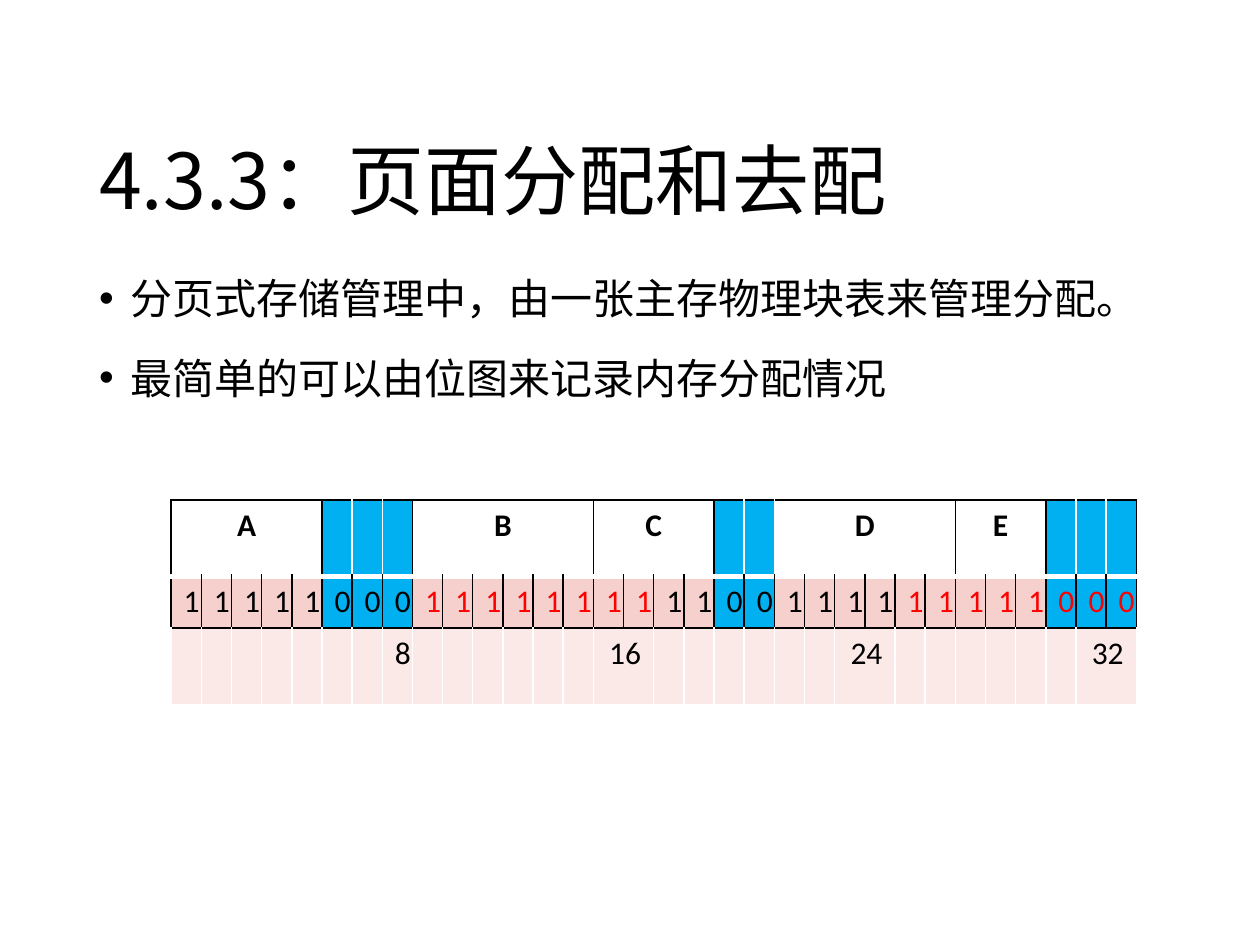
from lxml.etree import SubElement
from pptx import Presentation
from pptx.dml.color import RGBColor
from pptx.enum.text import MSO_ANCHOR as Anchor, PP_ALIGN as Align
from pptx.oxml.ns import qn
from pptx.util import Cm, Pt

BLACK = RGBColor(0x00, 0x00, 0x00)
WHITE = RGBColor(0xFF, 0xFF, 0xFF)
RED = RGBColor(0xFF, 0x00, 0x00)
BLUE = RGBColor(0x00, 0xB0, 0xF0)
PINK = RGBColor(0xF6, 0xD0, 0xCD)
PALE = RGBColor(0xFB, 0xE9, 0xE8)
CJK, LATIN = "Noto Sans CJK SC", "Calibri"

TITLE = "4.3.3：页面分配和去配"
POINTS = [
    "分页式存储管理中，由一张主存物理块表来管理分配。",
    "最简单的可以由位图来记录内存分配情况",
]
# Runs of memory blocks: owner ("" means free) and length
SEGMENTS = [("A", 5), ("", 3), ("B", 6), ("C", 4), ("", 2), ("D", 6), ("E", 3), ("", 3)]
OWNERS = [owner for owner, size in SEGMENTS for _ in range(size)]
BYTE = 8


def format_text(p, font, size, color, bold=False):
    for r in p.runs:
        r.font.name, r.font.size, r.font.bold = font, Pt(size), bold
        r.font.color.rgb = color
        SubElement(r.font._element, qn("a:ea"), typeface=font)


def add_text_box(slide, box, anchor):
    tf = slide.shapes.add_textbox(*box).text_frame
    tf.word_wrap = True
    tf.vertical_anchor = anchor
    return tf


def add_title(slide, box):
    p = add_text_box(slide, box, Anchor.BOTTOM).paragraphs[0]
    p.text = TITLE
    p.line_spacing = 0.9
    format_text(p, CJK, 44, BLACK)


def add_points(slide, box):
    tf = add_text_box(slide, box, Anchor.TOP)
    for i, text in enumerate(POINTS):
        p = tf.add_paragraph() if i else tf.paragraphs[0]
        p.text = text
        pPr = p._p.get_or_add_pPr()
        pPr.set("marL", str(Cm(0.64)))
        pPr.set("indent", str(-Cm(0.64)))
        SubElement(pPr, qn("a:buFont"), typeface="Arial")
        SubElement(pPr, qn("a:buChar"), char="•")
        p.line_spacing = 1.3
        p.space_before = Pt(8 if i else 0)
        format_text(p, CJK, 24, BLACK)


def set_borders(cell, left, right, top, bottom):
    """Each side is a (colour, width in points) pair."""
    tcPr = cell._tc.get_or_add_tcPr()
    sides = {"a:lnL": left, "a:lnR": right, "a:lnT": top, "a:lnB": bottom}
    for tag, (color, width) in sides.items():
        ln = SubElement(tcPr, qn(tag), w=str(Pt(width)))
        fill = SubElement(ln, qn("a:solidFill"))
        SubElement(fill, qn("a:srgbClr"), val=str(color))


def set_cell(cell, text, fill, color=BLACK, bold=False, align=Align.LEFT):
    if fill is None:
        cell.fill.background()
    else:
        cell.fill.solid()
        cell.fill.fore_color.rgb = fill
    p = cell.text_frame.paragraphs[0]
    p.text = text
    p.alignment = align
    format_text(p, LATIN, 18, color, bold)


def add_bitmap(slide, box):
    left, top, width, height = box
    count = len(OWNERS)
    table = slide.shapes.add_table(3, count, left, top, width, height).table
    table.first_row = table.horz_banding = False
    for col in table.columns:
        col.width = width // count
    for row, share in zip(table.rows, (0.375, 0.25, 0.375)):
        row.height = int(height * share)

    black, white, thick = (BLACK, 1), (WHITE, 1), (WHITE, 3)

    # Owners of the blocks; edges inside free space and before D are white
    def edge(i):
        inner = 0 < i < count and OWNERS[i - 1] == "" and OWNERS[i] in ("", "D")
        return white if inner else black

    start = 0
    for owner, size in SEGMENTS:
        end = start + size
        for i in range(start, end):
            ends = (start, end) if owner else (i, i + 1)
            cell = table.cell(0, i)
            set_borders(cell, edge(ends[0]), edge(ends[1]), black, thick)
            set_cell(cell, owner if i == start else "", None if owner else BLUE,
                     bold=True, align=Align.CENTER)
        if owner:
            table.cell(0, start).merge(table.cell(0, end - 1))
        start = end

    for i, owner in enumerate(OWNERS):
        # Bits; every second byte is red
        bit = table.cell(1, i)
        set_borders(bit, black, black, thick, black)
        set_cell(bit, "1" if owner else "0", PINK if owner else BLUE,
                 RED if i // BYTE % 2 else BLACK)
        # Scale background
        mark = table.cell(2, i)
        set_borders(mark, white, white, black, white)
        set_cell(mark, "", PALE)

    # Scale numbers; two digits need two cells
    for number in range(BYTE, count + 1, BYTE):
        first = number - len(str(number))
        cell = table.cell(2, first)
        if first < number - 1:
            cell.merge(table.cell(2, number - 1))
        set_cell(cell, str(number), PALE, align=Align.RIGHT)


def main():
    prs = Presentation()
    prs.slide_width, prs.slide_height = Cm(25.4), Cm(19.05)
    slide = prs.slides.add_slide(prs.slide_layouts[6])
    add_title(slide, (Cm(1.75), Cm(1.01), Cm(21.9), Cm(3.68)))
    add_points(slide, (Cm(1.75), Cm(5.07), Cm(21.9), Cm(4.12)))
    add_bitmap(slide, (Cm(3.45), Cm(10.08), Cm(18.52), Cm(4.12)))
    prs.save("out.pptx")


if __name__ == "__main__":
    main()
